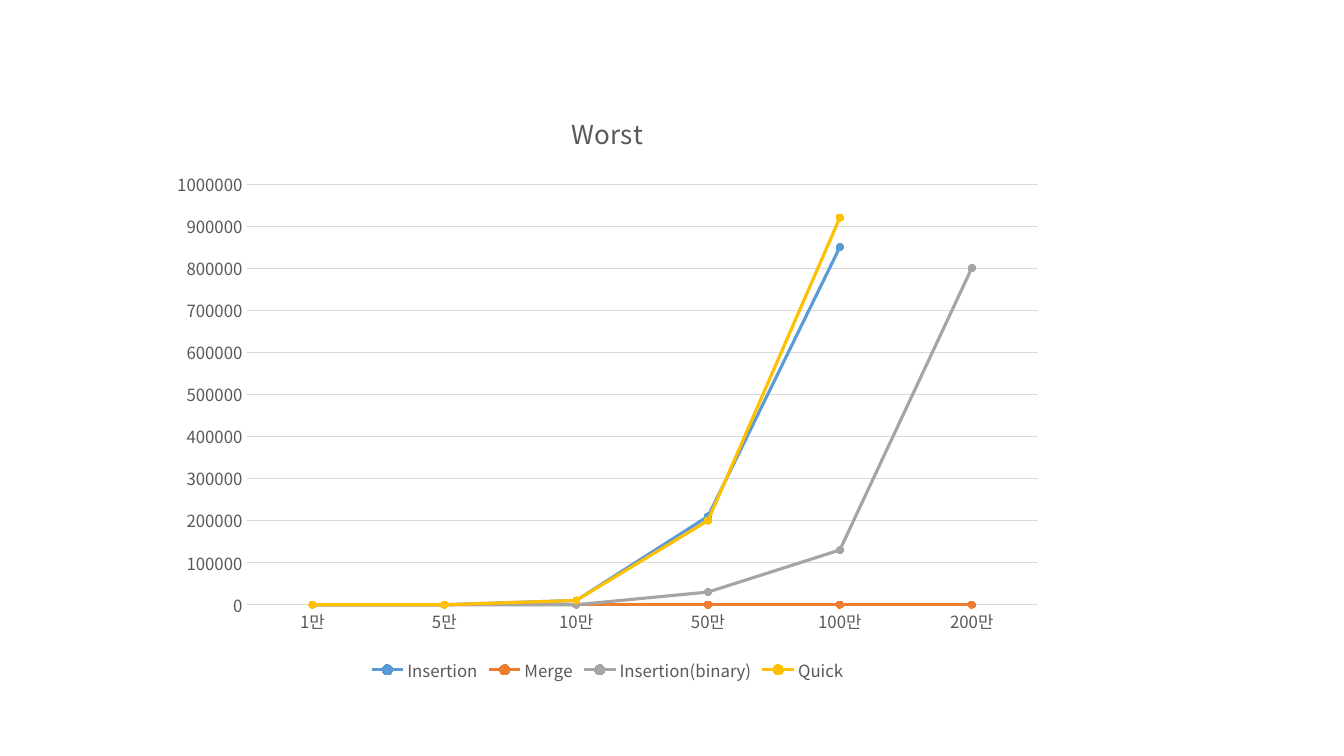
from dataclasses import dataclass

from lxml import etree
from pptx import Presentation
from pptx import util as u
from pptx.chart.data import CategoryChartData
from pptx.dml.color import RGBColor
from pptx.enum import chart as ch
from pptx.oxml.ns import qn


@dataclass(frozen=True)
class Theme:
    font: str = "Noto Sans CJK KR"
    text: str = "595959"
    rule: str = "D9D9D9"
    series: tuple = ("5B9BD5", "ED7D31", "A5A5A5", "FFC000")
    title_pt: float = 18.6
    label_pt: float = 12
    rule_pt: float = 0.75
    series_pt: float = 2.25
    marker_pt: int = 5


class Deck:
    def __init__(self, theme):
        self.theme = theme
        self.prs = Presentation()
        self.prs.slide_width = u.Inches(13.33)
        self.prs.slide_height = u.Inches(7.5)
        self.s = None

    def add_slide(self):
        self.s = self.prs.slides.add_slide(self.prs.slide_layouts[6])

    def style_font(self, font, size):
        font.name = self.theme.font
        font.size = u.Pt(size)
        font.bold = False
        font.color.rgb = RGBColor.from_string(self.theme.text)

    def style_line(self, line, color, width):
        line.color.rgb = RGBColor.from_string(color)
        line.width = u.Pt(width)

    def line_chart(self, title, cats, series, box):
        data = CategoryChartData(number_format="General")
        data.categories = cats
        for name, vals in series.items():
            data.add_series(name, vals)
        chart = self.s.shapes.add_chart(
            ch.XL_CHART_TYPE.LINE_MARKERS, *map(u.Inches, box), data
        ).chart
        self.style_font(chart.font, self.theme.label_pt)
        self.chart_title(chart, title)
        self.axes(chart)
        self.legend(chart)
        self.series(chart.plots[0])
        for latin in list(chart.element.iter(qn("a:latin"))):
            ea = etree.Element(qn("a:ea"), typeface=self.theme.font)
            latin.addnext(ea)

    def chart_title(self, chart, title):
        chart.has_title = True
        chart.chart_title.include_in_layout = False
        p = chart.chart_title.text_frame.paragraphs[0]
        r = p.add_run()
        r.text = title
        self.style_font(r.font, self.theme.title_pt)

    def axes(self, chart):
        t = self.theme
        cat, val = chart.category_axis, chart.value_axis
        for axis in (cat, val):
            axis.major_tick_mark = ch.XL_TICK_MARK.NONE
            axis.minor_tick_mark = ch.XL_TICK_MARK.NONE
            self.style_font(axis.tick_labels.font, t.label_pt)
        self.style_line(cat.format.line, t.rule, t.rule_pt)
        val.format.line.fill.background()
        val.minimum_scale, val.maximum_scale = 0, 1000000
        val.major_unit = 100000
        val.has_major_gridlines = True
        self.style_line(val.major_gridlines.format.line, t.rule, t.rule_pt)

    def legend(self, chart):
        chart.has_legend = True
        chart.legend.position = ch.XL_LEGEND_POSITION.BOTTOM
        chart.legend.include_in_layout = False
        self.style_font(chart.legend.font, self.theme.label_pt)

    def series(self, plot):
        t = self.theme
        plot.vary_by_categories = False
        for ser, color in zip(plot.series, t.series):
            ser.smooth = False
            self.style_line(ser.format.line, color, t.series_pt)
            ser.marker.style = ch.XL_MARKER_STYLE.CIRCLE
            ser.marker.size = t.marker_pt
            ser.marker.format.fill.solid()
            ser.marker.format.fill.fore_color.rgb = RGBColor.from_string(color)
            self.style_line(ser.marker.format.line, color, t.rule_pt)


def main():
    deck = Deck(Theme())
    deck.add_slide()
    deck.line_chart(
        "Worst",
        ["1만", "5만", "10만", "50만", "100만", "200만"],
        {
            "Insertion": (0, 0, 10000, 210000, 850000, None),
            "Merge": (0, 0, 0, 0, 0, 0),
            "Insertion(binary)": (0, 0, 0, 30000, 130000, 800000),
            "Quick": (0, 0, 10000, 200000, 920000, None),
        },
        (1.58, 0.88, 8.89, 5.93),
    )
    deck.prs.save("out.pptx")


if __name__ == "__main__":
    main()
